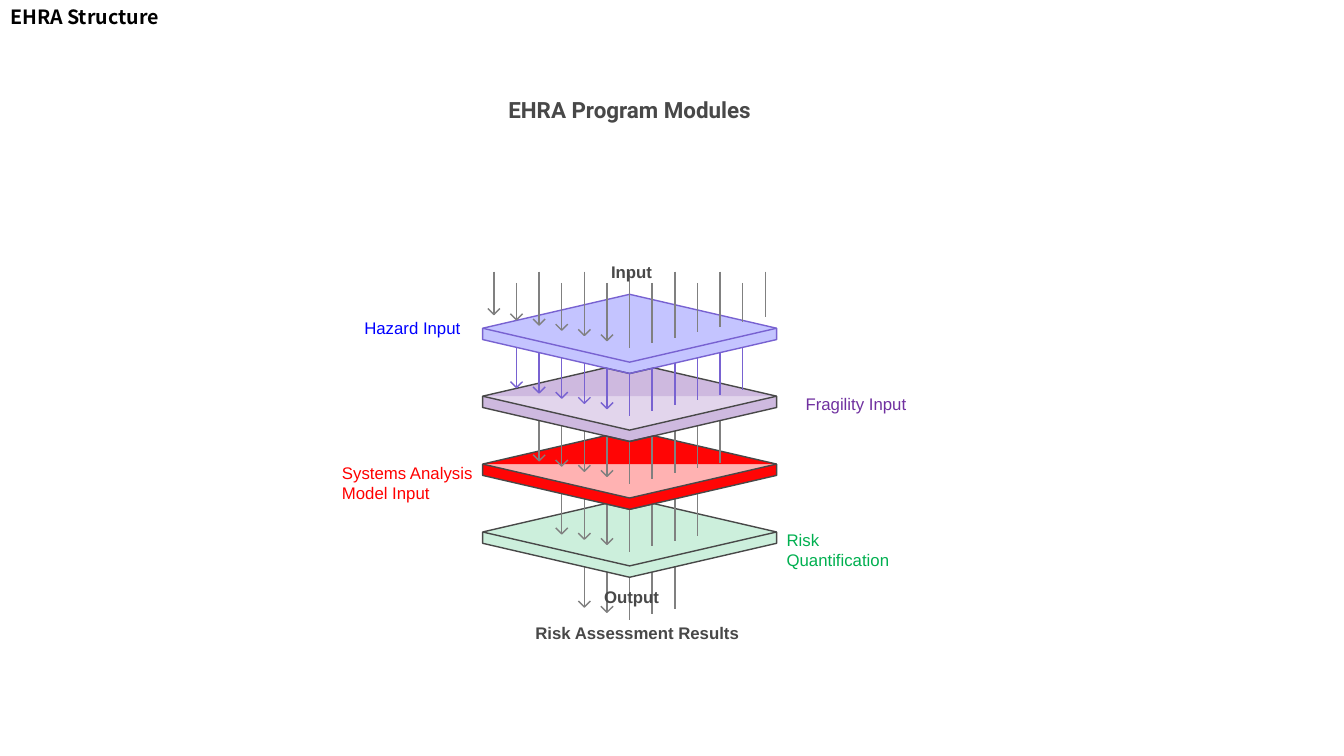
"""Build the EHRA Structure slide: four stacked module tiers joined by arrows."""
from dataclasses import dataclass
from typing import Optional

from lxml import etree
from pptx import Presentation
from pptx import util as u
from pptx.dml.color import RGBColor
from pptx.enum import shapes, text
from pptx.oxml.ns import qn

BLACK = RGBColor(0x00, 0x00, 0x00)
CHARCOAL = RGBColor(0x48, 0x48, 0x48)
GRAY = RGBColor(0x80, 0x80, 0x80)
BLUE = RGBColor(0x00, 0x00, 0xFF)
LAVENDER = RGBColor(0x78, 0x62, 0xD1)
PURPLE = RGBColor(0x70, 0x30, 0xA0)
RED = RGBColor(0xFF, 0x00, 0x00)
GREEN = RGBColor(0x00, 0xB0, 0x50)

COLUMN, ROW = u.Pt(16.15), u.Pt(48.5)
CENTER, FIRST_TIER = u.Pt(449.6), u.Pt(234.5)
HALF_WIDTH, HALF_DEPTH, THICKNESS = 6.5, 1 / 2, 1 / 6
SLOPE = HALF_DEPTH / HALF_WIDTH
FRONT = HALF_DEPTH + THICKNESS
ARROW_REACH = 6
HEAD = u.Inches(0.06)

Point = tuple[float, float]
Contour = list[Point]


@dataclass(frozen=True)
class Tier:
    """A module slab with its fill and the arrows that enter it."""
    color: RGBColor
    opacity: int
    edge: RGBColor
    arrow: RGBColor
    edge_opacity: Optional[int] = None


@dataclass(frozen=True)
class Label:
    """A caption placed in columns and rows from the first tier's centre."""
    words: str
    column: float
    row: float
    columns: float
    rows: float
    color: RGBColor
    bold: bool = False
    align: text.PP_ALIGN = text.PP_ALIGN.LEFT
    wrap: bool = False
    font: str = "Arial"
    size: int = 12


TIERS = [
    Tier(BLUE, 23, LAVENDER, GRAY),
    Tier(PURPLE, 20, CHARCOAL, LAVENDER, 17),
    Tier(RED, 30, CHARCOAL, GRAY, 97),
    Tier(GREEN, 20, CHARCOAL, GRAY),
]

LABELS = [
    Label("EHRA Program Modules", -5.64, -3.42, 11.28, 0.42, CHARCOAL, True,
          text.PP_ALIGN.CENTER, font="Roboto", size=16),
    Label("Systems Analysis Model Input", -12.72, 1.98, 6.24, 0.6, RED, wrap=True),
    Label("Risk\nQuantification", 6.94, 2.97, 5, 0.6, GREEN, wrap=True),
    Label("Fragility Input", 7.74, 0.97, 4.5, 0.3, PURPLE, align=text.PP_ALIGN.RIGHT),
    Label("Risk Assessment Results", -4.21, 4.34, 9.1, 0.3, CHARCOAL, True,
          text.PP_ALIGN.CENTER),
    Label("Output", -1.13, 3.8, 2.45, 0.3, CHARCOAL, True),
    Label("Hazard Input", -11.74, -0.16, 4.28, 0.3, BLUE, align=text.PP_ALIGN.CENTER),
    Label("Input", -0.82, -0.98, 1.83, 0.3, CHARCOAL, True),
]


def place(column: float, row: float) -> tuple[int, int]:
    """Turn a grid point into slide coordinates."""
    return round(CENTER + column * COLUMN), round(FIRST_TIER + row * ROW)


def draw_outline(page, contours: list[list[tuple[int, int]]], line: Optional[RGBColor] = None,
                 fill: Optional[RGBColor] = None, opacity: int = 100) -> None:
    """Draw contours as one freeform with an optional line and fill."""
    first, *others = contours
    builder = page.shapes.build_freeform(*first[0])
    builder.add_line_segments(first[1:], close=False)
    for contour in others:
        builder.move_to(*contour[0])
        builder.add_line_segments(contour[1:], close=False)
    shape = builder.convert_to_shape()
    shape.shadow.inherit = False
    if fill is None:
        shape.fill.background()
    else:
        shape.fill.solid()
        shape.fill.fore_color.rgb = fill
        tint = shape._element.spPr.find(qn("a:solidFill"))[0]
        etree.SubElement(tint, qn("a:alpha")).set("val", str(opacity * 1000))
    if line is None:
        shape.line.fill.background()
    else:
        shape.line.color.rgb = line
        shape.line.width = u.Pt(1)


def draw_arrows(page, level: int, color: RGBColor) -> None:
    """Draw the row of arrows above a tier, with heads left of the centre."""
    reach = ARROW_REACH - level
    for column in range(-reach, reach + 1):
        rise = abs(column) * SLOPE
        if level == 0:
            top = -5 / 6 if column % 2 == 0 else -2 / 3
        else:
            top = level - 1 + FRONT - rise
        bottom = level - rise + (0.26 if column < 0 else 0.29)
        start, (x, y) = place(column, top), place(column, bottom)
        shaft = page.shapes.add_connector(shapes.MSO_CONNECTOR.STRAIGHT, *start, x, y)
        shaft.line.color.rgb = color
        shaft.line.width = u.Pt(1)
        etree.SubElement(shaft._element.spPr, qn("a:effectLst"))
        if column < 0:
            draw_outline(page, [[(x - HEAD, y - HEAD), (x, y), (x + HEAD, y - HEAD)]], color)


def draw_tier(page, level: int, tier: Tier) -> None:
    """Draw one slab, its back corner hidden by the slab above."""
    left, right = (-HALF_WIDTH, 0), (HALF_WIDTH, 0)
    left_foot, right_foot = (-HALF_WIDTH, THICKNESS), (HALF_WIDTH, THICKNESS)
    if level == 0:
        back: Contour = [(0, -HALF_DEPTH)]
    else:
        notch = FRONT - 1
        cut = (notch + HALF_DEPTH) / (2 * SLOPE)
        back = [(-cut, notch - cut * SLOPE), (0, notch), (cut, notch - cut * SLOPE)]
    rim: Contour = [left, left_foot, (0, FRONT), right_foot, right]
    ridge: Contour = [right, (0, HALF_DEPTH), left]
    horizon: Contour = [left, *back, right]
    body: Contour = [*reversed(rim), *back, right]

    def lift(contour: Contour) -> list[tuple[int, int]]:
        """Move a contour to this tier's level."""
        return [place(column, row + level) for column, row in contour]

    draw_outline(page, [lift(body)], fill=tier.color, opacity=tier.opacity)
    edges = [lift(contour) for contour in (rim, ridge, horizon)]
    if tier.edge_opacity is None:
        draw_outline(page, edges, tier.edge)
    else:
        draw_outline(page, edges, tier.edge, tier.color, tier.edge_opacity)


def format_text(frame, font: str, size: int, color: RGBColor, bold: bool,
                align: text.PP_ALIGN) -> None:
    """Give every paragraph of a frame the same look."""
    for para in frame.paragraphs:
        para.alignment = align
        for span in para.runs:
            span.font.name = font
            span.font.size = u.Pt(size)
            span.font.bold = bold
            span.font.color.rgb = color


def add_label(page, label: Label) -> None:
    """Add a caption without insets."""
    box = page.shapes.add_textbox(*place(label.column, label.row),
                                  round(label.columns * COLUMN), round(label.rows * ROW))
    frame = box.text_frame
    frame.margin_left = frame.margin_right = frame.margin_top = frame.margin_bottom = 0
    frame.word_wrap = label.wrap
    frame.text = label.words
    format_text(frame, label.font, label.size, label.color, label.bold, label.align)


def add_title(page) -> None:
    """Move the title placeholder to the top left corner and format it."""
    title = page.shapes.title
    title.left, title.top, title.width, title.height = 0, 0, u.Inches(3.53), u.Inches(0.34)
    frame = title.text_frame
    frame.text = "EHRA Structure"
    frame.word_wrap = True
    frame.auto_size = text.MSO_AUTO_SIZE.NONE
    frame.vertical_anchor = text.MSO_ANCHOR.TOP
    format_text(frame, "Noto Sans CJK KR", 14, BLACK, True, text.PP_ALIGN.LEFT)


def main() -> None:
    """Assemble and save the deck."""
    deck = Presentation()
    deck.slide_width, deck.slide_height = u.Inches(13.33), u.Inches(7.5)
    page = deck.slides.add_slide(deck.slide_layouts.get_by_name("Title Only"))
    add_title(page)
    draw_arrows(page, len(TIERS), GRAY)
    for level, tier in reversed(list(enumerate(TIERS))):
        draw_tier(page, level, tier)
        draw_arrows(page, level, tier.arrow)
    for label in LABELS:
        add_label(page, label)
    deck.save("out.pptx")


if __name__ == "__main__":
    main()
